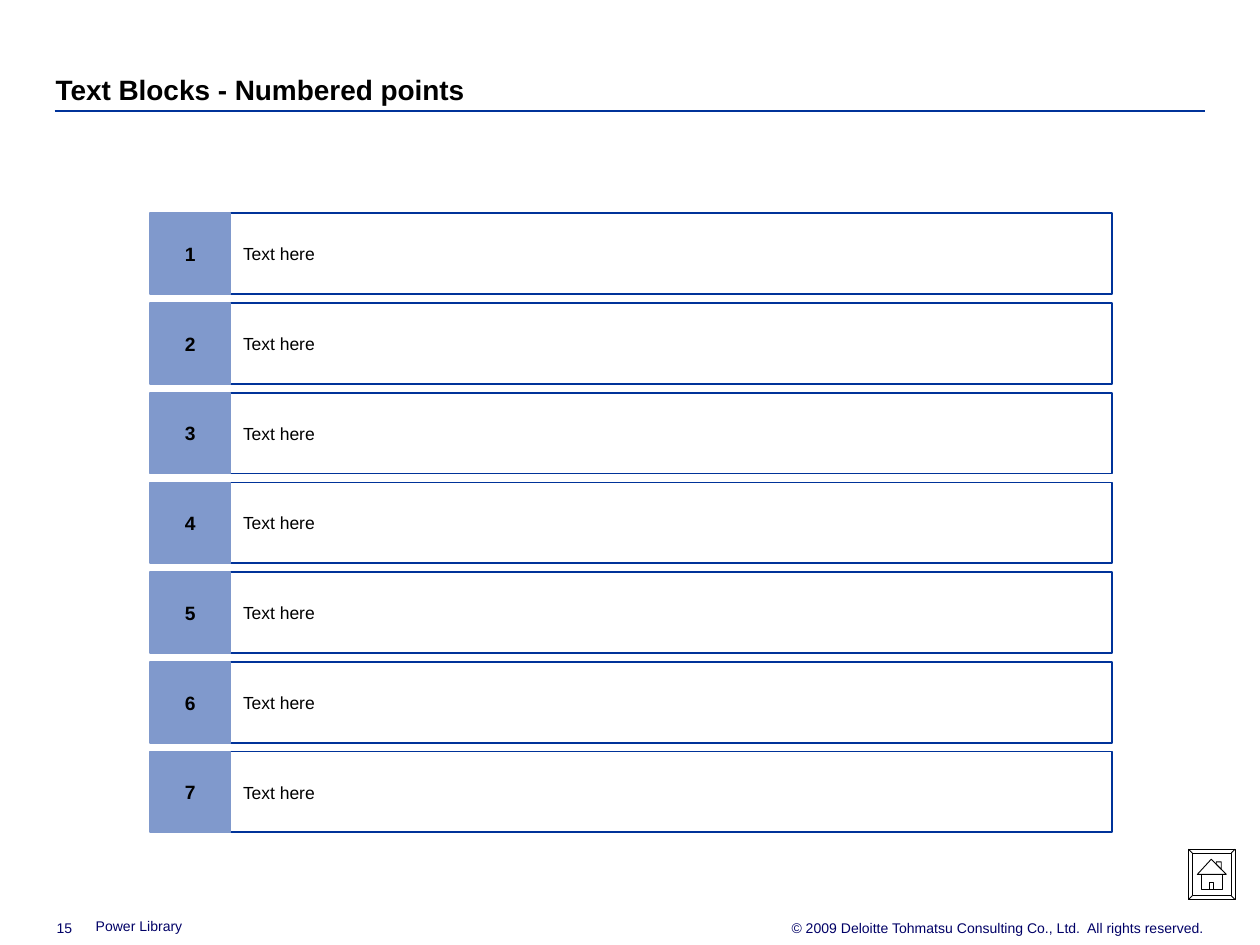
from collections import namedtuple
from dataclasses import dataclass

from pptx import Presentation
from pptx import util as u
from pptx.dml.color import RGBColor
from pptx.enum import shapes, text
from pptx.oxml import parse_xml
from pptx.oxml.ns import nsdecls

Box = namedtuple("Box", "left top width height")  # centimetres


@dataclass(frozen=True)
class Theme:
    font: str = "Arial"
    ink: str = "000000"
    paper: str = "FFFFFF"
    rule: str = "003399"
    number_fill: str = "8099CC"
    footer_ink: str = "000066"
    title_size: float = 16
    number_size: float = 11
    body_size: float = 10
    footer_size: float = 8


THEME = Theme()
LEFT, CENTER, RIGHT = text.PP_ALIGN.LEFT, text.PP_ALIGN.CENTER, text.PP_ALIGN.RIGHT
TOP, MIDDLE, BOTTOM = text.MSO_ANCHOR.TOP, text.MSO_ANCHOR.MIDDLE, text.MSO_ANCHOR.BOTTOM


def color(code):
    return RGBColor.from_string(code)


def lengths(box):
    return [u.Cm(value) for value in box]


def write(shape, words, size, ink=THEME.ink, bold=False, align=LEFT,
          anchor=MIDDLE, inset=0.0, spacing=None):
    frame = shape.text_frame
    frame.word_wrap = True
    frame.auto_size = text.MSO_AUTO_SIZE.NONE
    frame.vertical_anchor = anchor
    frame.margin_left = frame.margin_right = u.Cm(inset)
    frame.margin_top = frame.margin_bottom = u.Cm(inset)
    para = frame.paragraphs[0]
    para.alignment = align
    if spacing:
        para.line_spacing = spacing
    span = para.add_run()
    span.text = words
    span.font.name = THEME.font
    span.font.size = u.Pt(size)
    span.font.bold = bold
    span.font.color.rgb = color(ink)


def add_heading(page, box):
    title = page.shapes.title
    title.left, title.top, title.width, title.height = lengths(box)
    write(title, "Text Blocks - Numbered points", THEME.title_size,
          bold=True, anchor=BOTTOM, spacing=1.06)
    start, level = u.Cm(box.left - 0.02), u.Cm(box.top + 0.82)
    line = page.shapes.add_connector(
        shapes.MSO_CONNECTOR.STRAIGHT, start, level, start + u.Cm(box.width), level)
    line.line.color.rgb = color(THEME.rule)
    line.line.width = u.Pt(1.5)
    line._element.spPr.append(parse_xml(f"<a:effectLst {nsdecls('a')}/>"))


def add_panel(page, box, fill, outline):
    panel = page.shapes.add_shape(shapes.MSO_SHAPE.RECTANGLE, *lengths(box))
    panel.shadow.inherit = False
    panel.fill.solid()
    panel.fill.fore_color.rgb = color(fill)
    panel.line.color.rgb = color(outline)
    panel.line.width = u.Pt(1)
    return panel


def add_numbered_points(page, box, points, gap=0.18):
    """Stack one row per point, with a square number cell at its left."""
    side = (box.height - gap * (len(points) - 1)) / len(points)
    for index, words in enumerate(points):
        top = box.top + index * (side + gap)
        body = add_panel(page, Box(box.left + side, top, box.width - side, side),
                         THEME.paper, THEME.rule)
        write(body, words, THEME.body_size, inset=0.25)
        number = add_panel(page, Box(box.left, top, side, side),
                           THEME.number_fill, THEME.number_fill)
        write(number, str(index + 1), THEME.number_size, bold=True,
              align=CENTER, inset=0.25)


def add_home_button(page, box):
    """Draw a bevelled frame around a house, on a grid of 37 by 40 units."""
    wide, high, bevel = 37, 40, 3
    outer = [(0, 0), (wide, 0), (wide, high), (0, high)]
    inner = [(bevel, bevel), (wide - bevel, bevel),
             (wide - bevel, high - bevel), (bevel, high - bevel)]
    roof = [(18.5, 8), (30, 20), (7, 20)]
    walls = [(10, 20), (27, 20), (27, 32), (10, 32)]
    chimney = [(22.5, 12.5), (22.5, 9.5), (26, 9.5), (26, 16)]
    door = [(17, 32), (17, 25.5), (20, 25.5), (20, 32)]
    outlines = [(points, True) for points in (outer, inner, roof, walls, chimney, door)]
    outlines += [(corner, False) for corner in zip(outer, inner)]

    builder = page.shapes.build_freeform(0, 0, scale=u.Cm(box.width) / wide)
    for index, (points, closed) in enumerate(outlines):
        if index:
            builder.move_to(*points[0])
        builder.add_line_segments(points[1:], close=closed)
    button = builder.convert_to_shape(u.Cm(box.left), u.Cm(box.top))
    button.shadow.inherit = False
    button.fill.background()
    button.line.color.rgb = color(THEME.ink)
    button.line.width = u.Pt(0.5)


def add_footer(page, box):
    entries = [
        ("15", Box(box.left, box.top, 0.8, box.height), LEFT, BOTTOM),
        ("Power Library", Box(box.left + 0.79, box.top - 0.03, 11.2, box.height),
         LEFT, BOTTOM),
        ("© 2009 Deloitte Tohmatsu Consulting Co., Ltd.  All rights reserved.",
         Box(box.left + box.width - 9.65, box.top, 9.65, box.height), RIGHT, TOP),
    ]
    for words, place, align, anchor in entries:
        write(page.shapes.add_textbox(*lengths(place)), words, THEME.footer_size,
              ink=THEME.footer_ink, align=align, anchor=anchor)


def main():
    deck = Presentation()
    deck.slide_width, deck.slide_height = u.Cm(25.4), u.Cm(19.05)
    page = deck.slides.add_slide(deck.slide_layouts[5])
    add_heading(page, Box(1.12, 1.42, 23.19, 0.71))
    add_numbered_points(page, Box(3.02, 4.3, 19.4, 12.48), ["Text here"] * 7)
    add_home_button(page, Box(23.96, 17.12, 0.94, 1.02))
    add_footer(page, Box(1.14, 18.54, 23.14, 0.33))
    deck.save("out.pptx")


if __name__ == "__main__":
    main()
